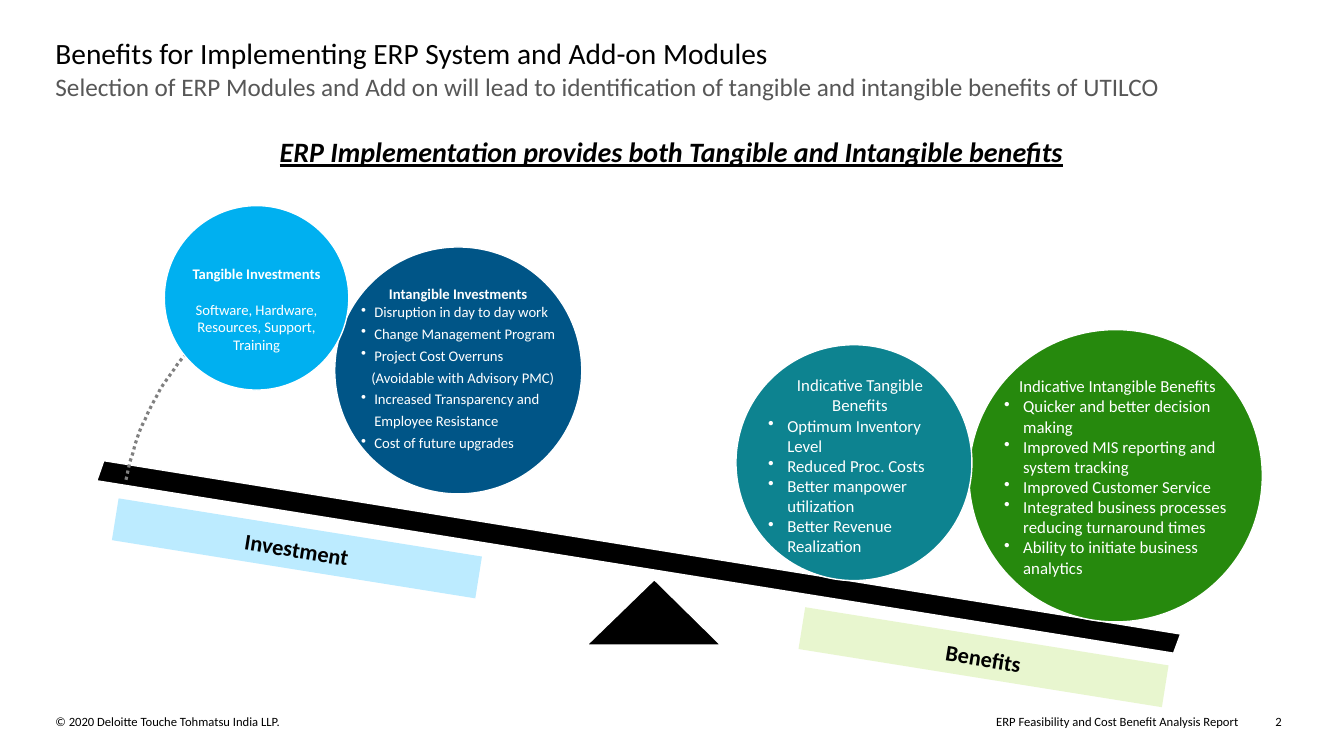
from dataclasses import dataclass

from lxml import etree
from pptx import Presentation
from pptx.dml.color import RGBColor
from pptx.enum.dml import MSO_LINE
from pptx.enum.shapes import MSO_SHAPE
from pptx.enum.text import MSO_ANCHOR, MSO_AUTO_SIZE, PP_ALIGN
from pptx.oxml.ns import qn
from pptx.util import Pt

PX = 9144  # 100 px to the inch
FONT = "Calibri"
LEFT, MID, RIGHT = PP_ALIGN.LEFT, PP_ALIGN.CENTER, PP_ALIGN.RIGHT
TOP, CENTER, BOTTOM = MSO_ANCHOR.TOP, MSO_ANCHOR.MIDDLE, MSO_ANCHOR.BOTTOM
OVAL, RECT = MSO_SHAPE.OVAL, MSO_SHAPE.RECTANGLE
DOTS, FIXED = MSO_LINE.ROUND_DOT, MSO_AUTO_SIZE.NONE
HUES = {
    "black": "000000", "white": "FFFFFF", "gray": "575757", "arc": "808080",
    "navy": "005587", "sky": "00B0F0", "teal": "0D8390", "green": "26890D",
    "ice": "BCEBFF", "lime": "E8F6CF",
}
Box = tuple[int, int, int, int]
Point = tuple[int, int]


@dataclass(frozen=True)
class Para:
    text: str
    align: PP_ALIGN = LEFT
    bold: bool = False
    slant: bool = False  # italic and underlined
    lead: int = 0
    dot: bool = False
    after: float = 0
    pitch: float = 1.0


@dataclass(frozen=True)
class Label:
    box: Box
    size: float
    paras: list[Para]
    hue: str = "white"
    pad: Box = (0, 0, 0, 0)
    anchor: MSO_ANCHOR = TOP
    wrap: bool = True


@dataclass(frozen=True)
class Disc:
    box: Box
    hue: str


@dataclass(frozen=True)
class Bar:
    box: Box
    hue: str
    name: str


def rgb(hue: str) -> RGBColor:
    return RGBColor.from_string(HUES[hue])


def emu(box: Box) -> list[int]:
    return [n * PX for n in box]


def write(shape, label: Label) -> None:
    frame = shape.text_frame
    frame.auto_size = FIXED
    frame.word_wrap = label.wrap
    frame.vertical_anchor = label.anchor
    (frame.margin_left, frame.margin_top,
     frame.margin_right, frame.margin_bottom) = emu(label.pad)
    for i, item in enumerate(label.paras):
        para = frame.paragraphs[0] if i == 0 else frame.add_paragraph()
        props = para._p.get_or_add_pPr()
        props.set("marL", str(item.lead * PX))
        props.set("indent", str(-item.lead * PX if item.dot else 0))
        if item.dot:
            etree.SubElement(props, qn("a:buChar")).set("char", "•")
        else:
            etree.SubElement(props, qn("a:buNone"))
        para.alignment = item.align
        para.line_spacing = item.pitch
        para.space_before = Pt(0)
        para.space_after = Pt(item.after)
        run = para.add_run()
        run.text = item.text
        font = run.font
        font.name, font.size = FONT, Pt(label.size)
        font.bold, font.italic, font.underline = item.bold, item.slant, item.slant
        font.color.rgb = rgb(label.hue)


def place(shape, label: Label) -> None:
    shape.left, shape.top, shape.width, shape.height = emu(label.box)
    write(shape, label)


def add_text(slide, label: Label) -> None:
    write(slide.shapes.add_textbox(*emu(label.box)), label)


def paint(shape, hue: str, edge: bool = True) -> None:
    shape.shadow.inherit = False
    shape.fill.solid()
    shape.fill.fore_color.rgb = rgb(hue)
    if edge:
        shape.line.color.rgb = rgb("white")
        shape.line.width = Pt(1)
    else:
        shape.line.fill.background()


def add_disc(slide, disc: Disc):
    shape = slide.shapes.add_shape(OVAL, *emu(disc.box))
    paint(shape, disc.hue)
    return shape


def add_path(slide, dots: list[Point], close: bool):
    pen = slide.shapes.build_freeform(*dots[0], scale=PX)
    pen.add_line_segments(dots[1:], close=close)
    return pen.convert_to_shape()


def add_arc(slide, ends: list[Point], steps: int = 24) -> None:
    dots = []
    for i in range(steps + 1):
        t = i / steps
        mix = ((1 - t) ** 3, 3 * t * (1 - t) ** 2, 3 * t * t * (1 - t), t ** 3)
        dots.append(tuple(round(sum(m * p[k] for m, p in zip(mix, ends)))
                          for k in (0, 1)))
    arc = add_path(slide, dots, False)
    arc.shadow.inherit = False
    arc.fill.background()
    arc.line.color.rgb = rgb("arc")
    arc.line.width = Pt(2.25)
    arc.line.dash_style = DOTS


def add_bar(slide, bar: Bar) -> None:
    shape = slide.shapes.add_shape(RECT, *emu(bar.box))
    shape.rotation = 9.1
    paint(shape, bar.hue, edge=False)
    write(shape, Label(bar.box, 16, [Para(bar.name, MID, bold=True, pitch=1.06)],
                       "black", (10, 10, 10, 10), CENTER))


def gains(head: str, items: list[str]) -> list[Para]:
    return [Para(head, MID)] + [Para(item, lead=19, dot=True) for item in items]


def cost(text: str, lead: int = 13, dot: bool = True) -> Para:
    return Para(text, lead=lead, dot=dot, after=3)


INSET = (10, 5, 10, 5)
TITLE = Label((55, 35, 1224, 37), 21,
              [Para("Benefits for Implementing ERP System and Add-on Modules")], "black")
BODY = Label((55, 71, 1224, 50), 18, [Para(
    "Selection of ERP Modules and Add on will lead to identification of "
    "tangible and intangible benefits of UTILCO")], "gray")
NOTES = [
    Label((271, 136, 790, 32), 20, [Para(
        "ERP Implementation provides both Tangible and Intangible benefits",
        MID, bold=True, slant=True, pitch=0.95)], "black", anchor=BOTTOM),
    Label((55, 708, 586, 15), 9,
          [Para("© 2020 Deloitte Touche Tohmatsu India LLP.")], "black"),
    Label((693, 708, 535, 15), 9,
          [Para("ERP Feasibility and Cost Benefit Analysis Report", RIGHT)], "black"),
    Label((1265, 708, 15, 15), 9, [Para("2")], "black"),
]
RISKS = Label((332, 245, 245, 245), 10.5, [
    Para("Intangible Investments", MID, bold=True),
    cost("Disruption in day to day work"),
    cost("Change Management Program"),
    cost("Project Cost Overruns"),
    cost("(Avoidable with Advisory PMC)", 10, False),
    cost("Increased Transparency and"),
    cost("Employee Resistance", dot=False),
    cost("Cost of future upgrades"),
], pad=(0, 0, 0, 4), anchor=CENTER, wrap=False)
SPEND = Label((163, 258, 183, 98), 10.5, [
    Para("Tangible Investments", MID, bold=True, after=12.8),
    Para("Software, Hardware, Resources, Support, Training", MID),
], pad=INSET)
GAINS = [
    Label((752, 367, 202, 192), 12, gains("Indicative Tangible Benefits", [
        "Optimum Inventory Level", "Reduced Proc. Costs",
        "Better manpower utilization", "Better Revenue Realization"]), pad=INSET),
    Label((986, 368, 245, 212), 12, gains("Indicative Intangible Benefits", [
        "Quicker and better decision making",
        "Improved MIS reporting and system tracking",
        "Improved Customer Service",
        "Integrated business processes reducing turnaround times",
        "Ability to initiate business analytics"]), pad=INSET),
]
PIVOT = [(582, 640), (715, 640), (649, 575)]
BEAM = [(103, 457), (96, 477), (1164, 648), (1171, 629)]
ARC = [(125, 476), (140, 403), (178, 345), (228, 316)]
BARS = [Bar((112, 523, 365, 42), "ice", "Investment"),
        Bar((793, 631, 365, 42), "lime", "Benefits")]


def main() -> None:
    deck = Presentation()
    deck.slide_width, deck.slide_height = 1333 * PX, 750 * PX
    slide = deck.slides.add_slide(deck.slide_layouts[1])

    # Heading and footer
    place(slide.shapes.title, TITLE)
    place(slide.placeholders[1], BODY)
    for note in NOTES:
        add_text(slide, note)

    # Seesaw, with discs stacked from back to front
    write(add_disc(slide, Disc(RISKS.box, "navy")), RISKS)
    for dots in (PIVOT, BEAM):
        paint(add_path(slide, dots, True), "black")
    add_disc(slide, Disc((961, 327, 291, 290), "green"))
    add_arc(slide, ARC)
    add_disc(slide, Disc((163, 204, 183, 183), "sky"))
    add_disc(slide, Disc((730, 342, 234, 234), "teal"))

    # Disc wording and the two sides
    for label in (SPEND, *GAINS):
        add_text(slide, label)
    for bar in BARS:
        add_bar(slide, bar)

    deck.save("out.pptx")


if __name__ == "__main__":
    main()
